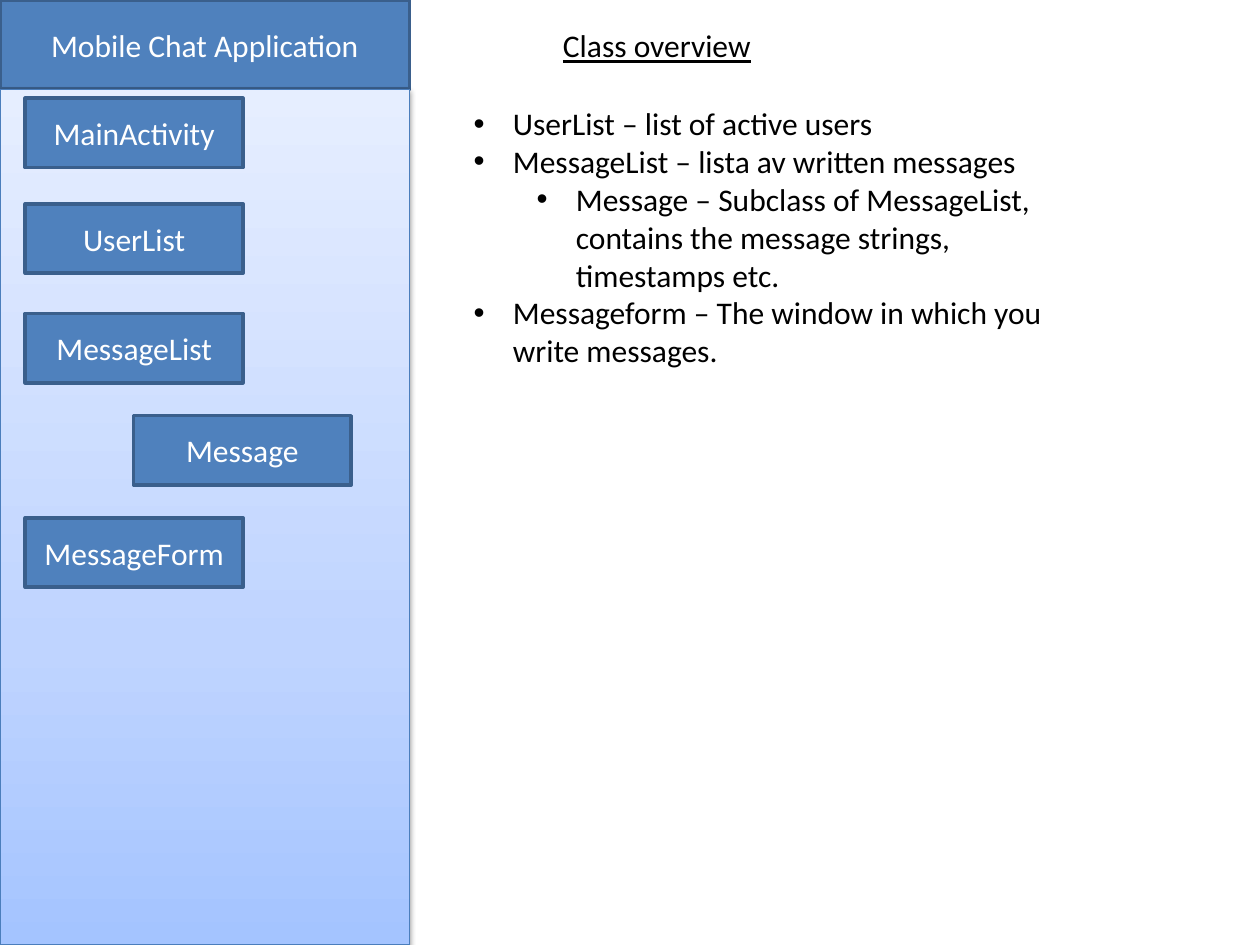
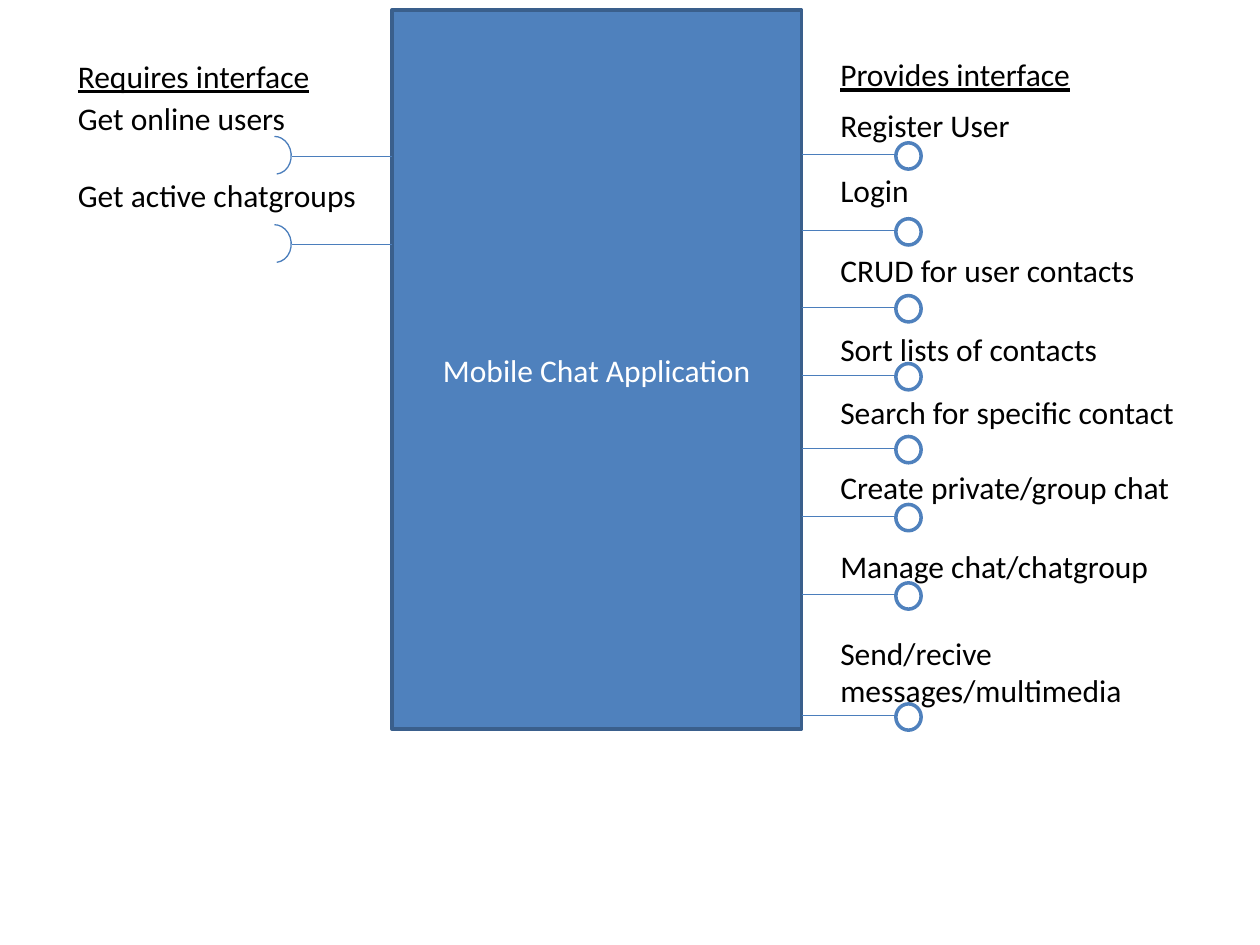
"""Build a class overview slide and an interface diagram of a chat application."""
from dataclasses import dataclass

from lxml.etree import SubElement
from pptx import Presentation
from pptx.dml.color import RGBColor
from pptx.enum.shapes import MSO_CONNECTOR as Link, MSO_SHAPE as Shape
from pptx.enum.text import MSO_ANCHOR as Anchor, MSO_AUTO_SIZE as Fit, PP_ALIGN as Align
from pptx.oxml import parse_xml
from pptx.oxml.ns import nsdecls, qn
from pptx.util import Cm, Pt


@dataclass(frozen=True)
class Theme:
    font: str = "Calibri"
    size: int = 18
    text: str = "000000"
    light: str = "FFFFFF"
    block: str = "4F81BD"
    border: str = "3A5F8C"
    wire: str = "4B7EBC"
    gradient: tuple = ((0, "A4C4FF"), (35, "BFD4FF"), (100, "E6EEFF"))
    thick: float = 2
    thin: float = 0.75


class Board:
    def __init__(self, deck, theme):
        self.deck, self.theme = deck, theme
        self.page = None

    def new_page(self):
        self.page = self.deck.slides.add_slide(self.deck.slide_layouts[6])

    def add_span(self, para, text, color, underline=None):
        span = para.add_run()
        span.text = text
        span.font.name, span.font.size = self.theme.font, Pt(self.theme.size)
        span.font.color.rgb = RGBColor.from_string(color)
        span.font.underline = underline

    def outline(self, item, color, width):
        item.line.color.rgb = RGBColor.from_string(color)
        item.line.width = Pt(width)

    def shape(self, kind, left, top, width, height, fill, line, weight):
        box = self.page.shapes.add_shape(kind, Cm(left), Cm(top), Cm(width), Cm(height))
        box.shadow.inherit = False
        if fill:
            box.fill.solid()
            box.fill.fore_color.rgb = RGBColor.from_string(fill)
        else:
            box.fill.background()
        self.outline(box, line, weight)
        return box

    def block(self, text, left, top, width, height):
        theme = self.theme
        box = self.shape(Shape.RECTANGLE, left, top, width, height,
                         theme.block, theme.border, theme.thick)
        box.text_frame.vertical_anchor = Anchor.MIDDLE
        para = box.text_frame.paragraphs[0]
        para.alignment = Align.CENTER
        self.add_span(para, text, theme.light)

    def panel(self, left, top, width, height):
        theme = self.theme
        box = self.shape(Shape.RECTANGLE, left, top, width, height,
                         None, theme.wire, theme.thin)
        stops = "".join(f'<a:gs pos="{spot * 1000}"><a:srgbClr val="{color}"/></a:gs>'
                        for spot, color in theme.gradient)
        props = box._element.spPr
        props.replace(props.find(qn("a:noFill")), parse_xml(
            f'<a:gradFill {nsdecls("a")} rotWithShape="1"><a:gsLst>{stops}</a:gsLst>'
            '<a:lin ang="16200000" scaled="0"/></a:gradFill>'))
        props.find(qn("a:effectLst")).append(parse_xml(
            f'<a:outerShdw {nsdecls("a")} blurRad="40000" dist="20000" dir="5400000" '
            'rotWithShape="0"><a:srgbClr val="000000"><a:alpha val="38000"/>'
            '</a:srgbClr></a:outerShdw>'))

    def frame(self, left, top, width, height, wrap):
        box = self.page.shapes.add_textbox(Cm(left), Cm(top), Cm(width), Cm(height))
        box.text_frame.word_wrap = wrap
        box.text_frame.auto_size = Fit.SHAPE_TO_FIT_TEXT
        return box.text_frame

    def label(self, text, left, top, width, underline=None):
        lines = text.split("\n")
        frame = self.frame(left, top, width, 0.24 + 0.78 * len(lines), False)
        for index, line in enumerate(lines):
            para = frame.add_paragraph() if index else frame.paragraphs[0]
            if index:
                para.alignment = Align.CENTER
            self.add_span(para, line, self.theme.text, underline)

    def bullets(self, items, left, top, width, height):
        frame = self.frame(left, top, width, height, True)
        for index, (level, text) in enumerate(items):
            para = frame.add_paragraph() if index else frame.paragraphs[0]
            para.level = level
            props = para._p.get_or_add_pPr()
            props.set("marL", str(Cm(0.79 + 1.27 * level)))
            props.set("indent", str(Cm(-0.79)))
            SubElement(props, qn("a:buFont"), typeface="Arial")
            SubElement(props, qn("a:buChar"), char="•")
            self.add_span(para, text, self.theme.text)

    def wire(self, start, end, height):
        line = self.page.shapes.add_connector(
            Link.STRAIGHT, Cm(start), Cm(height), Cm(end), Cm(height))
        self.outline(line, self.theme.wire, self.theme.thin)
        SubElement(line._element.spPr, qn("a:effectLst"))

    def ball(self, edge, height):
        theme = self.theme
        self.wire(edge, edge + 2.13, height)
        self.shape(Shape.OVAL, edge + 1.9, height - 0.24, 0.51, 0.53,
                   theme.light, theme.block, theme.thick)

    def socket(self, edge, height):
        self.wire(edge - 2.01, edge, height)
        arc = self.shape(Shape.ARC, edge - 2.74, height - 0.35, 0.76, 0.66,
                         None, self.theme.wire, self.theme.thin)
        arc.adjustments[0], arc.adjustments[1] = 110.673, 0
        arc.rotation = 84.4


APP = "Mobile Chat Application"
APP_WIDTH = 8.26
CLASSES = (("MainActivity", 0.51, 1.98), ("UserList", 0.51, 4.11),
           ("MessageList", 0.51, 6.32), ("Message", 2.69, 8.38),
           ("MessageForm", 0.51, 10.44))
NOTES = (
    (0, "UserList – list of active users"),
    (0, "MessageList – lista av written messages"),
    (1, "Message – Subclass of MessageList, contains the message strings, timestamps etc."),
    (0, "Messageform – The window in which you write messages."),
)
REQUIRED = (("Get online users", 1.88, 4.75, 3.15),
            ("Get active chatgroups", 3.43, 6.2, 4.93))
PROVIDED = (
    ("Register User", 2.01, 3.96, 3.12),
    ("Login", 3.33, 1.91, 4.65),
    ("CRUD for user contacts", 4.93, 6.5, 6.2),
    ("Sort lists of contacts", 6.53, 5.74, 7.57),
    ("Search for specific contact", 7.8, 7.32, 9.04),
    ("Create private/group chat", 9.32, 7.21, 10.41),
    ("Manage chat/chatgroup", 10.9, 6.81, 11.99),
    ("Send/recive\nmessages/multimedia", 12.65, 6.25, 14.43),
)


def class_overview(board):
    board.new_page()
    board.block(APP, 0, 0, APP_WIDTH, 1.8)
    board.panel(0, 1.8, APP_WIDTH, 17.25)
    for name, left, top in CLASSES:
        board.block(name, left, top, 4.39, 1.4)
    board.label("Class overview", 11.1, 0.41, 4.34, True)
    board.bullets(NOTES, 9.3, 1.98, 12.7, 5.64)


def interfaces(board):
    board.new_page()
    left_edge, required_left, provided_left = 7.9, 1.32, 16.69
    board.block(APP, left_edge, 0.2, APP_WIDTH, 14.5)
    board.label("Requires interface", required_left, 1.02, 5.2, True)
    for text, top, width, height in REQUIRED:
        board.socket(left_edge, height)
        board.label(text, required_left, top, width)
    board.label("Provides interface", provided_left, 0.99, 5.16, True)
    for text, top, width, height in PROVIDED:
        board.ball(left_edge + APP_WIDTH, height)
        board.label(text, provided_left, top, width)


deck = Presentation()
deck.slide_width, deck.slide_height = Cm(25.4), Cm(19.05)
board = Board(deck, Theme())
class_overview(board)
interfaces(board)
deck.save("out.pptx")
